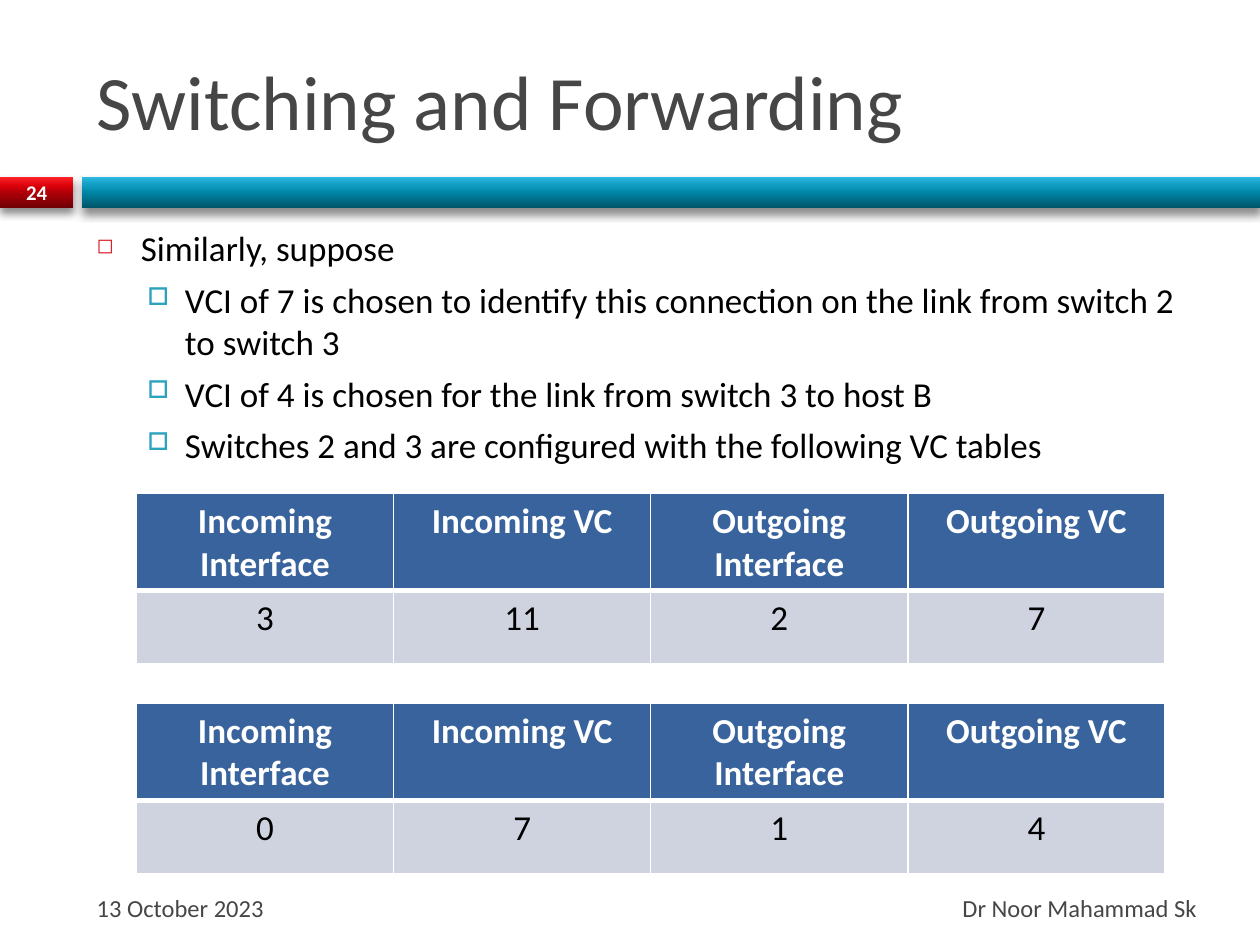
from lxml import etree
from pptx import Presentation
from pptx.dml.color import RGBColor
from pptx.enum.shapes import MSO_SHAPE
from pptx.enum.text import MSO_ANCHOR, PP_ALIGN
from pptx.oxml import parse_xml
from pptx.oxml.ns import nsdecls
from pptx.util import Cm, Pt

RECT = MSO_SHAPE.RECTANGLE
TOP, MIDDLE = MSO_ANCHOR.TOP, MSO_ANCHOR.MIDDLE
LEFT, CENTER, RIGHT = PP_ALIGN.LEFT, PP_ALIGN.CENTER, PP_ALIGN.RIGHT

FONT = "Calibri"
BLACK = RGBColor(0x00, 0x00, 0x00)
WHITE = RGBColor(0xFF, 0xFF, 0xFF)
GRAY = RGBColor(0x46, 0x46, 0x46)
RED = RGBColor(0xDA, 0x1F, 0x28)
TEAL = RGBColor(0x2D, 0xA2, 0xBF)
HEADER_BLUE = RGBColor(0x39, 0x63, 0x9D)
ROW_GRAY = RGBColor(0xCE, 0xD3, 0xDF)
RED_STOPS = ["6D0005", "B00008", "DA0008", "FF2429"]
TEAL_STOPS = ["005367", "0086A7", "0E9ABE", "2CB9E3"]
STOP_POSITIONS = [0, 50, 70, 100]


def add_text(p, text, size, color, bold=False, align=LEFT):
    p.alignment = align
    r = p.add_run()
    r.text = text
    r.font.name = FONT
    r.font.size = Pt(size)
    r.font.bold = bold
    r.font.color.rgb = color


def add_xml(parent, xml):
    parent.append(parse_xml(xml.replace(">", f" {nsdecls('a')}>", 1)))


prs = Presentation()
prs.slide_width, prs.slide_height = Cm(25.4), Cm(19.05)
s = prs.slides.add_slide(prs.slide_layouts[5])

for left, width, stops in [(0, 1.48, RED_STOPS), (1.65, 23.75, TEAL_STOPS)]:
    sp = s.shapes.add_shape(RECT, Cm(left), Cm(3.56), Cm(width), Cm(0.64))
    sp.line.fill.background()
    sp.fill.gradient()
    sp.fill.gradient_angle = 90
    gs_list = sp.fill._fill._gradFill.gsLst
    for gs in list(gs_list):
        gs_list.remove(gs)
    for pos, color in zip(STOP_POSITIONS, stops):
        add_xml(gs_list, f'<a:gs pos="{pos * 1000}">'
                         f'<a:srgbClr val="{color}"/></a:gs>')
    add_xml(sp._element.spPr,
            '<a:effectLst><a:outerShdw blurRad="63500" dist="38100" dir="5400000" '
            'algn="t" rotWithShape="0"><a:srgbClr val="000000">'
            '<a:alpha val="45000"/></a:srgbClr></a:outerShdw></a:effectLst>')

title = s.shapes.title
title.left, title.top, title.width, title.height = Cm(1.7), Cm(0.64), Cm(22.66), Cm(2.74)
title.text_frame.vertical_anchor = MIDDLE
add_text(title.text_frame.paragraphs[0], "Switching and Forwarding", 44, GRAY)

bullets = [
    (0, "Similarly, suppose"),
    (1, "VCI of 7 is chosen to identify this connection on the link from switch 2 to switch 3"),
    (1, "VCI of 4 is chosen for the link from switch 3 to host B"),
    (1, "Switches 2 and 3 are configured with the following VC tables"),
]
bullet_styles = [
    (Cm(0.89), Cm(-0.89), 7, "◻", RED, 60),
    (Cm(1.78), Cm(-0.76), 5.5, "□", TEAL, 70),
]
body = s.shapes.add_textbox(Cm(1.7), Cm(4.45), Cm(22.66), Cm(12.5))
tf = body.text_frame
tf.word_wrap = True
for i, (level, text) in enumerate(bullets):
    margin, indent, before, char, color, percent = bullet_styles[level]
    p = tf.add_paragraph() if i else tf.paragraphs[0]
    p.level = level
    p.space_before = Pt(before)
    add_text(p, text, 20, BLACK)
    pPr = p._p.get_or_add_pPr()
    pPr.set("marL", str(margin))
    pPr.set("indent", str(indent))
    add_xml(pPr, f'<a:buClr><a:srgbClr val="{color}"/></a:buClr>')
    add_xml(pPr, f'<a:buSzPct val="{percent * 1000}"></a:buSzPct>')
    add_xml(pPr, f'<a:buChar char="{char}"></a:buChar>')

headers = ["Incoming Interface", "Incoming VC", "Outgoing Interface", "Outgoing VC"]
for top, values in [(9.95, ["3", "11", "2", "7"]), (14.18, ["0", "7", "1", "4"])]:
    table = s.shapes.add_table(2, 4, Cm(2.75), Cm(top), Cm(20.74), Cm(3.43)).table
    table.rows[0].height, table.rows[1].height = Cm(1.96), Cm(1.47)
    for row, texts in enumerate([headers, values]):
        is_header = row == 0
        for col, text in enumerate(texts):
            cell = table.cell(row, col)
            add_text(cell.text_frame.paragraphs[0], text, 20,
                     WHITE if is_header else BLACK, is_header, CENTER)
            tcPr = cell._tc.get_or_add_tcPr()
            for side in "LRTB":
                middle = side == ("B" if is_header else "T")
                line = etree.SubElement(tcPr, tcPr.tag.replace("tcPr", f"ln{side}"),
                                        w=str(Pt(3 if middle else 1)))
                add_xml(line, f'<a:solidFill><a:srgbClr val="{WHITE}"/></a:solidFill>')
            cell.fill.solid()
            cell.fill.fore_color.rgb = HEADER_BLUE if is_header else ROW_GRAY

labels = [
    (1.7, 17.78, 7.42, 1.02, "13 October 2023", 14, GRAY, False, LEFT),
    (0, 3.53, 1.48, 0.69, "24", 11.9, WHITE, True, CENTER),
    (9.32, 17.78, 15.06, 1.02, "Dr Noor Mahammad Sk", 14, GRAY, False, RIGHT),
]
for left, top, width, height, text, size, color, bold, align in labels:
    tf = s.shapes.add_textbox(Cm(left), Cm(top), Cm(width), Cm(height)).text_frame
    tf.word_wrap = True
    tf.vertical_anchor = MIDDLE
    add_text(tf.paragraphs[0], text, size, color, bold, align)

prs.save("out.pptx")
